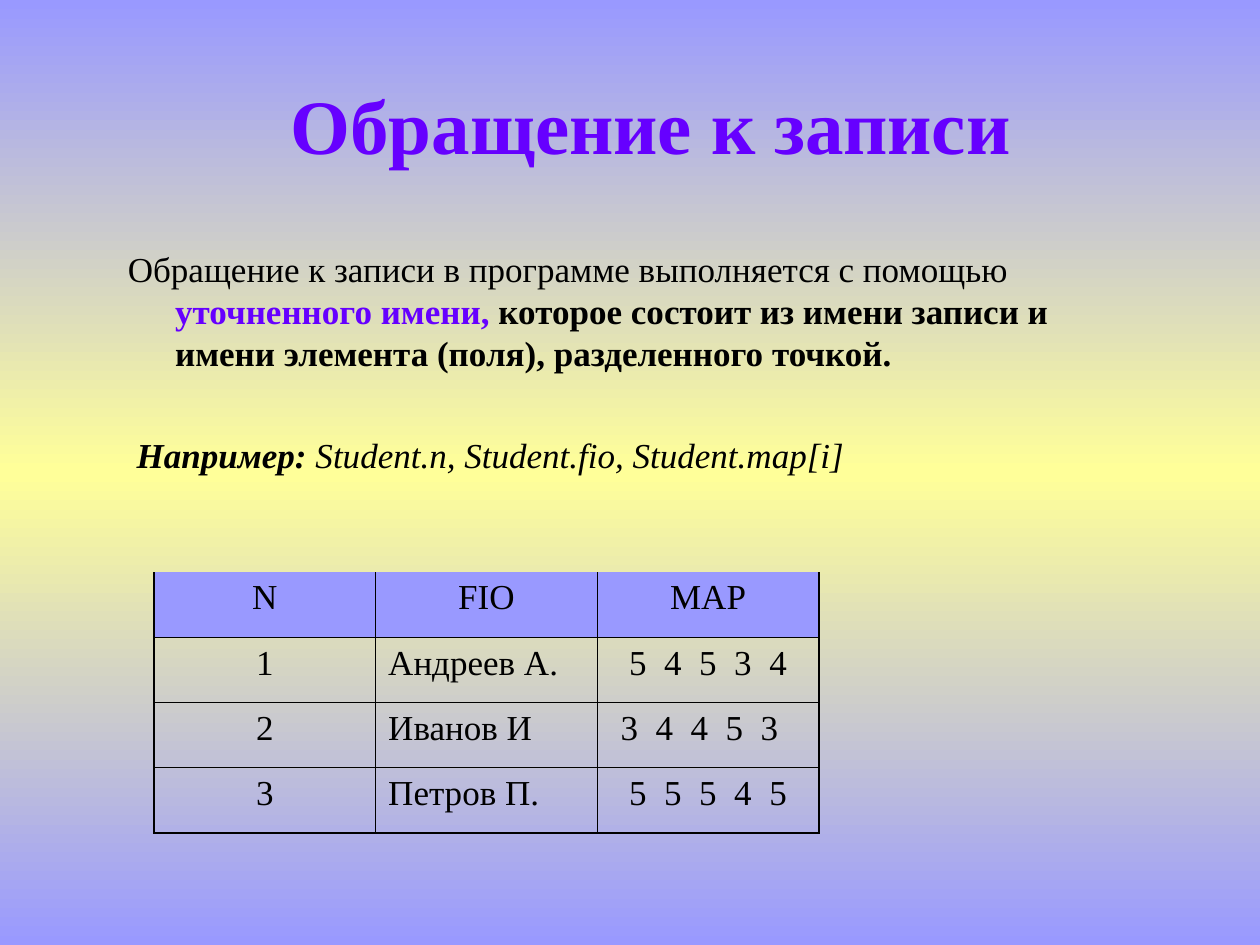
from lxml.etree import SubElement
from pptx import Presentation
from pptx.dml.color import RGBColor
from pptx.enum.text import MSO_ANCHOR, MSO_AUTO_SIZE, PP_ALIGN
from pptx.oxml import parse_xml
from pptx.oxml.ns import nsdecls, qn
from pptx.util import Pt

FONT = "Times New Roman"
VIOLET = RGBColor(0x66, 0x00, 0xFF)
BLACK = RGBColor(0x00, 0x00, 0x00)
BLUE = RGBColor(0x99, 0x99, 0xFF)
YELLOW = RGBColor(0xFF, 0xFF, 0x99)
THIN, THICK = 0.45, 1.08

ROWS = [
    ("N", "FIO", "MAP"),
    ("1", "Андреев А.", "5  4  5  3  4"),
    ("2", "Иванов И", "3  4  4  5  3"),
    ("3", "Петров П.", "5  5  5  4  5"),
]


def add_run(para, text, size=20, color=BLACK, bold=False, italic=False):
    run = para.add_run()
    run.text = text
    font = run.font
    font.name, font.size = FONT, Pt(size)
    font.bold, font.italic = bold, italic
    font.color.rgb = color


def place(shape, box):
    shape.left, shape.top, shape.width, shape.height = (Pt(v) for v in box)


def paint_back(slide):
    stops = "".join(
        f'<a:gs pos="{pos}"><a:srgbClr val="{color}"/></a:gs>'
        for pos, color in ((0, BLUE), (50000, YELLOW), (100000, BLUE)))
    fill = slide.background.fill
    fill.gradient()
    fill.gradient_angle = 270
    grad = slide.background._cSld.find(".//" + qn("a:gradFill"))
    grad.replace(grad.find(qn("a:gsLst")), parse_xml(
        f'<a:gsLst {nsdecls("a")}>{stops}</a:gsLst>'))


def add_title(slide, box):
    title = slide.shapes.title
    place(title, box)
    frame = title.text_frame
    frame.auto_size = MSO_AUTO_SIZE.NONE
    frame.vertical_anchor = MSO_ANCHOR.MIDDLE
    para = frame.paragraphs[0]
    para.alignment = PP_ALIGN.CENTER
    add_run(para, "Обращение к записи", 44, VIOLET, bold=True)


def add_body(slide, box):
    frame = slide.shapes.add_textbox(*(Pt(v) for v in box)).text_frame
    frame.word_wrap = True

    # Rule with a hanging indent
    rule = frame.paragraphs[0]
    props = rule._p.get_or_add_pPr()
    props.set("marL", str(Pt(27)))
    props.set("indent", str(-Pt(27)))
    add_run(rule, "Обращение к записи в программе выполняется с помощью ")
    add_run(rule, "уточненного имени, ", color=VIOLET, bold=True)
    add_run(rule, "которое состоит из имени записи и имени элемента (поля), "
                  "разделенного точкой.", bold=True)

    # Example
    case = frame.add_paragraph()
    case._p.get_or_add_pPr().set("marL", str(Pt(5)))
    case.space_before = Pt(34)
    add_run(case, "Например: ", bold=True, italic=True)
    add_run(case, "Student.n, Student.fio, Student.map[i]", italic=True)


def set_edge(cell, side, width):
    props = cell._tc.get_or_add_tcPr()
    line = SubElement(props, qn("a:" + side), w=str(Pt(width)))
    if width:
        fill = SubElement(line, qn("a:solidFill"))
        SubElement(fill, qn("a:srgbClr"), val=str(BLACK))
    else:
        SubElement(line, qn("a:noFill"))


def add_grid(slide, box):
    count, wide = len(ROWS), len(ROWS[0])
    table = slide.shapes.add_table(
        count, wide, *(Pt(v) for v in box)).table
    table.first_row = table.horz_banding = False
    for r, row in enumerate(ROWS):
        for c, text in enumerate(row):
            cell = table.cell(r, c)
            # Edges come before the fill in the cell's XML
            set_edge(cell, "lnL", THICK if c == 0 else THIN)
            set_edge(cell, "lnR", THICK if c == wide - 1 else THIN)
            set_edge(cell, "lnT", THIN if r else 0)
            set_edge(cell, "lnB", THICK if r == count - 1 else THIN)
            if r == 0:
                cell.fill.solid()
                cell.fill.fore_color.rgb = BLUE
            else:
                cell.fill.background()
            para = cell.text_frame.paragraphs[0]
            left = r > 0 and c == 1
            para.alignment = PP_ALIGN.LEFT if left else PP_ALIGN.CENTER
            add_run(para, text)
    # The second record's marks sit left of centre
    table.cell(2, 2).margin_right = Pt(17)


def main():
    deck = Presentation()
    deck.slide_width, deck.slide_height = Pt(720), Pt(540)
    slide = deck.slides.add_slide(deck.slide_layouts[5])
    paint_back(slide)
    add_title(slide, (66, 27, 612, 87))
    add_body(slide, (66, 138, 595, 155))
    add_grid(slide, (88, 327, 380, 149))
    deck.save("out.pptx")


if __name__ == "__main__":
    main()
